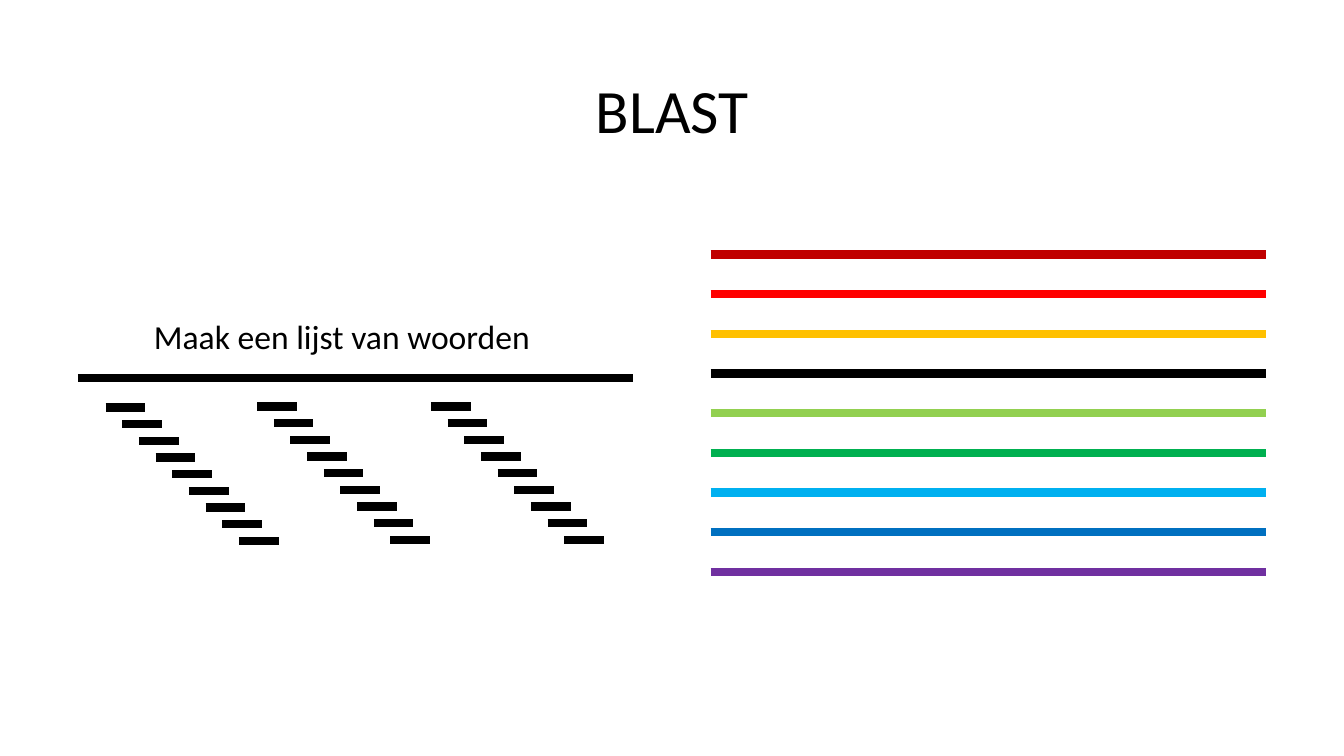
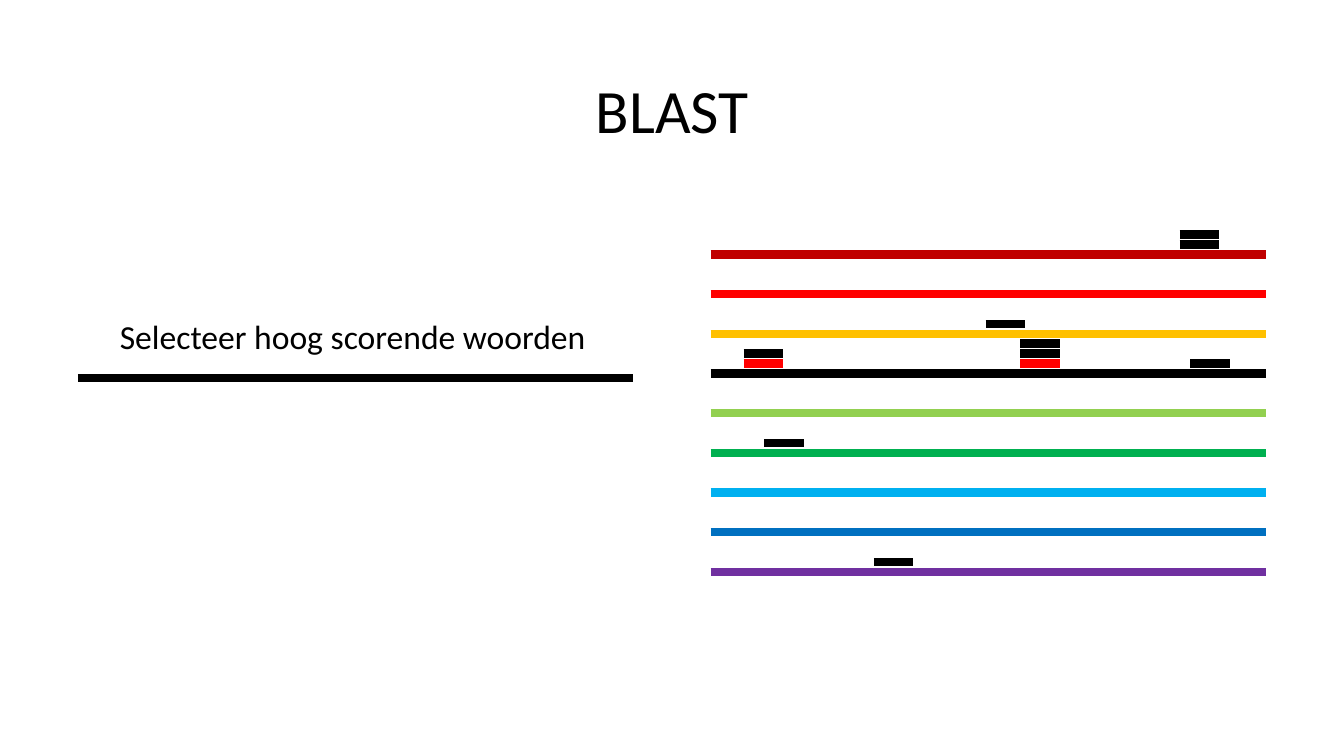
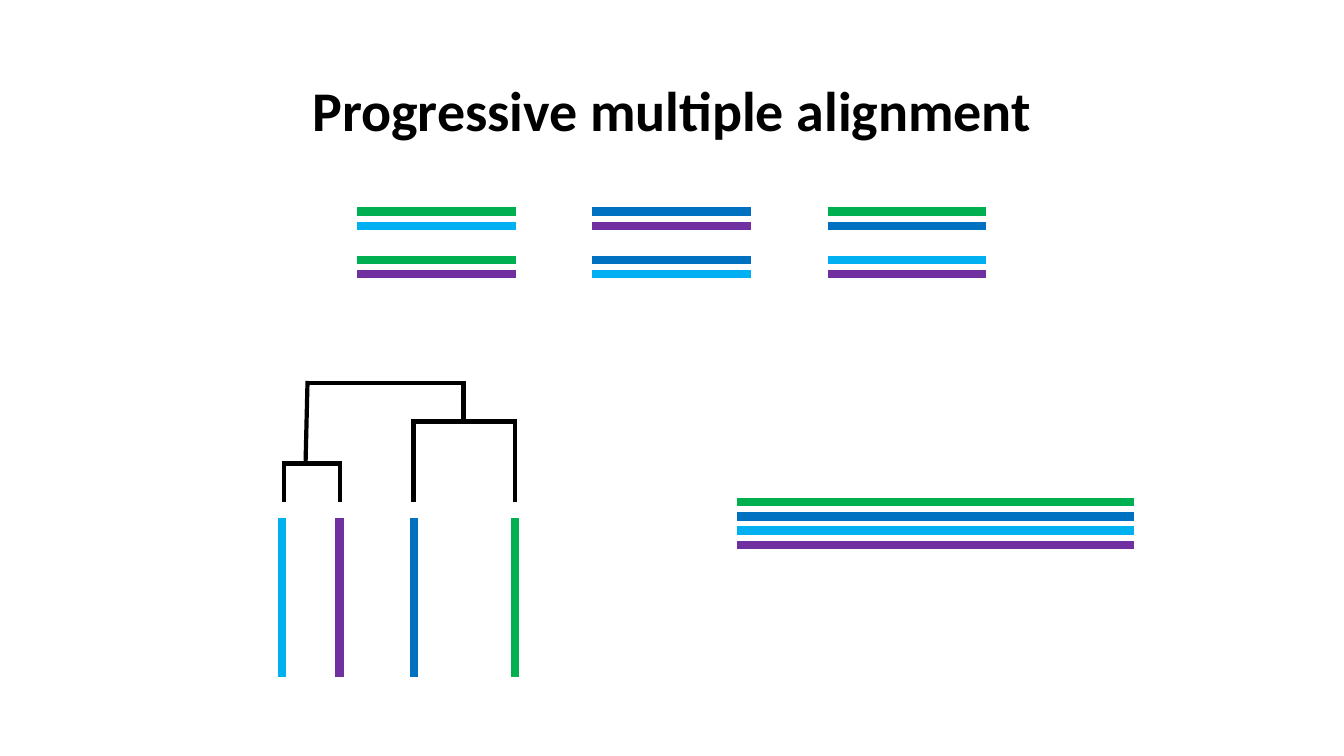
from lxml.etree import SubElement
from pptx import Presentation
from pptx.dml.color import RGBColor
from pptx.enum.shapes import MSO_CONNECTOR
from pptx.enum.text import MSO_ANCHOR, PP_ALIGN
from pptx.oxml.ns import qn
from pptx.util import Cm, Pt

FONT = "Calibri"
BLACK, DARK_RED, RED, ORANGE = "000000", "C00000", "FF0000", "FFC000"
LIME, GREEN, SKY, BLUE, PURPLE = "92D050", "00B050", "00B0F0", "0070C0", "7030A0"

SEQUENCE_WIDTH = 14
SEQUENCE_PITCH = 1
DATABASE = [DARK_RED, RED, ORANGE, BLACK, LIME, GREEN, SKY, BLUE, PURPLE]
QUERY_LEFT, QUERY_TOP = 1.96, 9.53
DATABASE_LEFT, DATABASE_TOP = 17.91, 6.41

WORD_WIDTH = 1
WORD_STEP = 0.42
WORDS_PER_CASCADE = 9
HIT_PITCH = 0.25
CASCADES = [(2.66, 10.27), (6.48, 10.24), (10.86, 10.24)]

# Row in the database, offset along it, word colours from the bottom up
HITS = [
    (0, 11.82, [BLACK, BLACK]),
    (2, 6.93, [BLACK]),
    (3, 0.83, [RED, BLACK]),
    (3, 7.8, [RED, BLACK, BLACK]),
    (3, 12.09, [BLACK]),
    (5, 1.35, [BLACK]),
    (8, 4.11, [BLACK]),
]

ALIGNED_PITCH = 0.36
PAIR_ROWS = [
    [(GREEN, SKY), (BLUE, PURPLE), (GREEN, BLUE)],
    [(GREEN, PURPLE), (BLUE, SKY), (SKY, PURPLE)],
]

LEAVES = [(0, SKY), (1.45, PURPLE), (3.33, BLUE), (5.87, GREEN)]
# Bar height, then for each leg: x at the bar, x and y at the foot
FORKS = [
    (2.03, [(0.05, 0.05, 3), (1.45, 1.45, 3)]),
    (0.97, [(3.31, 3.31, 3), (5.87, 5.87, 3)]),
    (0, [(0.64, 0.59, 2.03), (4.57, 4.57, 0.97)]),
]


def rgb(value):
    return RGBColor.from_string(value)


def add_text(slide, text, left, top, width, height, size=24, bold=False, color=BLACK,
             align=PP_ALIGN.LEFT, anchor=MSO_ANCHOR.TOP, spacing=1.0, wrap=True):
    shape = slide.shapes.add_textbox(Cm(left), Cm(top), Cm(width), Cm(height))
    frame = shape.text_frame
    frame.word_wrap = wrap
    frame.vertical_anchor = anchor
    paragraph = frame.paragraphs[0]
    paragraph.text = text
    paragraph.alignment = align
    paragraph.line_spacing = spacing
    font = paragraph.font
    font.name, font.size, font.bold = FONT, Pt(size), bold
    font.color.rgb = rgb(color)


def add_line(shapes, x1, y1, x2, y2, color=BLACK, weight=6):
    line = shapes.add_connector(MSO_CONNECTOR.STRAIGHT, Cm(x1), Cm(y1), Cm(x2), Cm(y2))
    line.line.color.rgb = rgb(color)
    line.line.width = Pt(weight)
    SubElement(line._element.spPr, qn("a:effectLst"))


def add_bars(slide, left, top, width, pitch, colors):
    """Stack horizontal bars downwards, or upwards when the pitch is negative."""
    for index, color in enumerate(colors):
        y = top + index * pitch
        add_line(slide.shapes, left, y, left + width, y, color)


def add_cascade(slide, left, top):
    """Draw the overlapping words cut from the query, each one step further."""
    for index in range(WORDS_PER_CASCADE):
        x, y = left + index * WORD_STEP, top + index * WORD_STEP
        add_line(slide.shapes, x, y, x + WORD_WIDTH, y)


def add_hits(slide, left, top):
    for row, offset, colors in HITS:
        y = top + row * SEQUENCE_PITCH - HIT_PITCH
        add_bars(slide, left + offset, y, WORD_WIDTH, -HIT_PITCH, colors)


def add_pairs(slide, left, top, column_pitch=5.93, row_pitch=1.22):
    for row, pairs in enumerate(PAIR_ROWS):
        for column, colors in enumerate(pairs):
            add_bars(slide, left + column * column_pitch, top + row * row_pitch,
                     4, ALIGNED_PITCH, colors)


def add_tree(slide, left, top, leaf_top=3.41, leaf_length=4, weight=3, overhang=0.05):
    shapes = slide.shapes.add_group_shape().shapes
    for offset, color in LEAVES:
        x, y = left + offset, top + leaf_top
        add_line(shapes, x, y, x, y + leaf_length, color)
    for height, legs in FORKS:
        y = top + height
        (first, *_), (last, *_) = legs
        add_line(shapes, left + first, y, left + last, y, weight=weight)
        for bar_x, foot_x, foot_y in legs:
            add_line(shapes, left + bar_x, y - overhang, left + foot_x, top + foot_y,
                     weight=weight)


def add_slide(presentation):
    return presentation.slides.add_slide(presentation.slide_layouts[6])


def add_blast_slide(presentation, caption, left, width):
    """Add the query with its caption on the left and the database on the right."""
    slide = add_slide(presentation)
    add_text(slide, "BLAST", 2.34, 1.02, 29.21, 3.68, size=44, align=PP_ALIGN.CENTER,
             anchor=MSO_ANCHOR.MIDDLE, spacing=0.9)
    add_text(slide, caption, left, 7.84, width, 1.27, wrap=False)
    add_bars(slide, QUERY_LEFT, QUERY_TOP, SEQUENCE_WIDTH, SEQUENCE_PITCH, [BLACK])
    add_bars(slide, DATABASE_LEFT, DATABASE_TOP, SEQUENCE_WIDTH, SEQUENCE_PITCH, DATABASE)
    return slide


def add_alignment_slide(presentation):
    slide = add_slide(presentation)
    add_text(slide, "Progressive multiple alignment", 3.48, 1.78, 26.9, 1.96,
             size=40, bold=True, align=PP_ALIGN.CENTER)
    add_pairs(slide, 9, 5.33)
    add_tree(slide, 7.11, 9.65)
    add_bars(slide, 18.57, 12.65, 10, ALIGNED_PITCH, [GREEN, BLUE, SKY, PURPLE])


def main():
    presentation = Presentation()
    presentation.slide_width, presentation.slide_height = Cm(33.87), Cm(19.05)

    words_slide = add_blast_slide(presentation, "Maak een lijst van woorden", 3.63, 10.08)
    for left, top in CASCADES:
        add_cascade(words_slide, left, top)

    hits_slide = add_blast_slide(presentation, "Selecteer hoog scorende woorden", 2.77, 12.37)
    add_hits(hits_slide, DATABASE_LEFT, DATABASE_TOP)

    add_alignment_slide(presentation)
    presentation.save("out.pptx")


if __name__ == "__main__":
    main()
